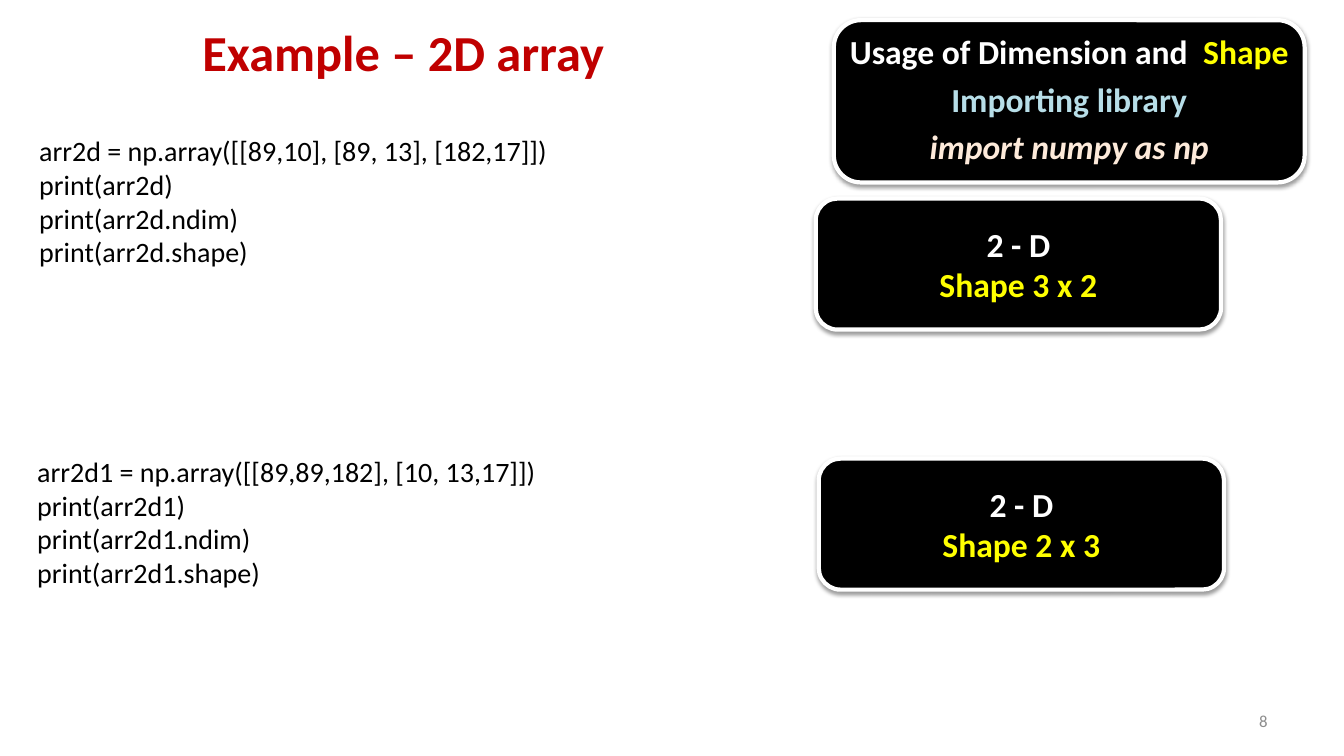
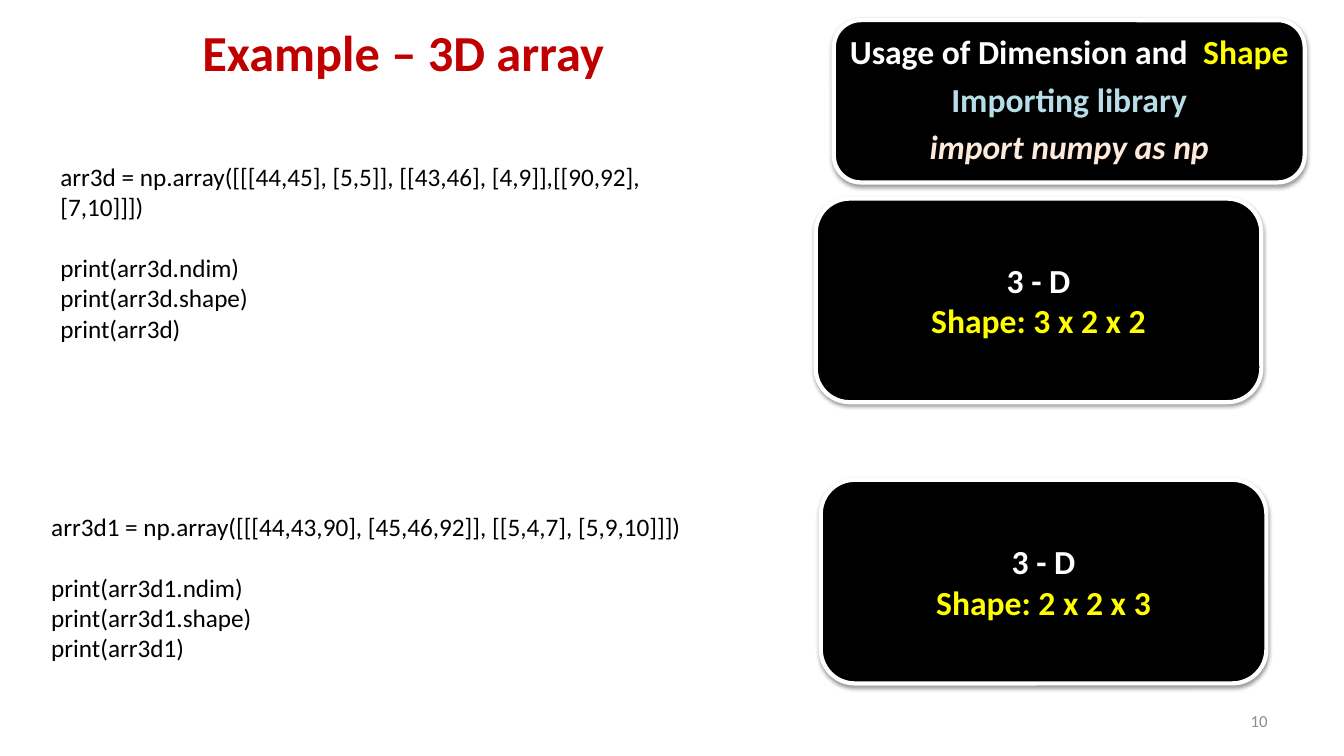
from dataclasses import dataclass

from lxml import etree
from pptx import Presentation
from pptx.dml.color import RGBColor
from pptx.enum import shapes, text
from pptx.oxml import ns
from pptx.util import Inches, Pt


@dataclass(frozen=True)
class Theme:
    font: str = "Calibri"
    title_red: str = "C00000"
    black: str = "000000"
    white: str = "FFFFFF"
    yellow: str = "FFFF00"
    pale_blue: str = "B7DEE8"
    cream: str = "FDEADA"
    gray: str = "8C8C8C"
    title_size: int = 36
    panel_size: int = 24
    number_size: int = 12


@dataclass(frozen=True)
class Box:
    left: float
    top: float
    width: float
    height: float

    def lengths(self):
        return [Inches(v) for v in (self.left, self.top, self.width, self.height)]


@dataclass(frozen=True)
class Span:
    words: str
    color: str
    italic: bool = False


@dataclass(frozen=True)
class Example:
    """A code listing and the panel that gives its dimension and shape."""
    code_box: Box
    code: tuple[str, ...]
    panel_box: Box
    dimension: str
    array_shape: str


@dataclass(frozen=True)
class ExampleSlide:
    title: str
    number: str
    code_size: int
    gap_after_array: int
    examples: tuple[Example, ...]


THEME = Theme()
TITLE_BOX = Box(0.06, 0.1, 7.88, 0.81)
NUMBER_BOX = Box(9.56, 6.95, 3.11, 0.4)
USAGE_BOX = Box(8.27, 0.2, 4.67, 1.61)
USAGE_LINES = (
    (Span("Usage of Dimension and ", THEME.white), Span(" Shape", THEME.yellow)),
    (Span("Importing library", THEME.pale_blue),),
    (Span("import numpy as np", THEME.cream, italic=True),),
)

SLIDES = (
    ExampleSlide("Example – 2D array", "8", 20, 0, (
        Example(
            Box(0.29, 1.28, 5.82, 1.45),
            ("arr2d = np.array([[89,10], [89, 13], [182,17]])",
             "print(arr2d)", "print(arr2d.ndim)", "print(arr2d.shape)"),
            Box(8.09, 1.97, 4.02, 1.3), "2 - D", "Shape 3 x 2"),
        Example(
            Box(0.27, 4.46, 5.61, 1.45),
            ("arr2d1 = np.array([[89,89,182], [10, 13,17]])",
             "print(arr2d1)", "print(arr2d1.ndim)", "print(arr2d1.shape)"),
            Box(8.12, 4.55, 4.02, 1.3), "2 - D", "Shape 2 x 3"),
    )),
    ExampleSlide("Example – 3D array", "10", 18, 22, (
        Example(
            Box(0.5, 1.55, 6.67, 1.92),
            ("arr3d = np.array([[[44,45], [5,5]], [[43,46], [4,9]],[[90,92],[7,10]]])",
             "print(arr3d.ndim)", "print(arr3d.shape)", "print(arr3d)"),
            Box(8.09, 1.97, 4.42, 2.02), "3 - D", "Shape: 3 x 2 x 2"),
        Example(
            Box(0.41, 5.02, 7.06, 1.62),
            ("arr3d1 = np.array([[[44,43,90], [45,46,92]], [[5,4,7], [5,9,10]]])",
             "print(arr3d1.ndim)", "print(arr3d1.shape)", "print(arr3d1)"),
            Box(8.14, 4.76, 4.42, 2.02), "3 - D", "Shape: 2 x 2 x 3"),
    )),
)


def style_font(font, size: int, color: str, bold: bool = False, italic: bool = False) -> None:
    font.name = THEME.font
    font.size = Pt(size)
    font.bold = bold
    font.italic = italic
    font.color.rgb = RGBColor.from_string(color)


def add_soft_shadow(shape) -> None:
    """Replace the theme shadow with a faint one straight below the shape."""
    shape.shadow.inherit = False
    effects = shape.element.spPr.find(ns.qn("a:effectLst"))
    shadow = etree.SubElement(effects, ns.qn("a:outerShdw"), blurRad=str(Pt(3.1)),
                              dist=str(Pt(1.6)), dir="5400000", rotWithShape="0")
    color = etree.SubElement(shadow, ns.qn("a:srgbClr"), val=THEME.black)
    etree.SubElement(color, ns.qn("a:alpha"), val="38000")


def add_title(slide, title: str) -> None:
    shape = slide.shapes.title
    shape.left, shape.top, shape.width, shape.height = TITLE_BOX.lengths()
    frame = shape.text_frame
    frame.text = title
    frame.auto_size = text.MSO_AUTO_SIZE.NONE
    frame.vertical_anchor = text.MSO_ANCHOR.MIDDLE
    paragraph = frame.paragraphs[0]
    paragraph.alignment = text.PP_ALIGN.CENTER
    style_font(paragraph.runs[0].font, THEME.title_size, THEME.title_red, bold=True)


def add_slide_number(slide, number: str) -> None:
    frame = slide.shapes.add_textbox(*NUMBER_BOX.lengths()).text_frame
    frame.word_wrap = True
    frame.vertical_anchor = text.MSO_ANCHOR.MIDDLE
    frame.text = number
    paragraph = frame.paragraphs[0]
    paragraph.alignment = text.PP_ALIGN.RIGHT
    style_font(paragraph.runs[0].font, THEME.number_size, THEME.gray)


def add_panel(slide, box: Box, lines: tuple[tuple[Span, ...], ...],
              line_spacing: float = 1.0, space_after: int = 0) -> None:
    panel = slide.shapes.add_shape(shapes.MSO_SHAPE.ROUNDED_RECTANGLE, *box.lengths())
    panel.fill.solid()
    panel.fill.fore_color.rgb = RGBColor.from_string(THEME.black)
    panel.line.color.rgb = RGBColor.from_string(THEME.white)
    panel.line.width = Pt(3)
    add_soft_shadow(panel)

    frame = panel.text_frame
    frame.word_wrap = True
    frame.vertical_anchor = text.MSO_ANCHOR.MIDDLE
    frame.margin_left = frame.margin_right = Inches(0.05)
    for index, spans in enumerate(lines):
        paragraph = frame.add_paragraph() if index else frame.paragraphs[0]
        paragraph.alignment = text.PP_ALIGN.CENTER
        paragraph.line_spacing = line_spacing
        paragraph.space_after = Pt(space_after)
        for span in spans:
            run = paragraph.add_run()
            run.text = span.words
            style_font(run.font, THEME.panel_size, span.color, bold=True, italic=span.italic)


def add_code(slide, box: Box, code: tuple[str, ...], size: int, gap_after_array: int) -> None:
    frame = slide.shapes.add_textbox(*box.lengths()).text_frame
    frame.word_wrap = True
    frame.auto_size = text.MSO_AUTO_SIZE.SHAPE_TO_FIT_TEXT
    frame.text = "\n".join(code)
    for paragraph in frame.paragraphs:
        style_font(paragraph.runs[0].font, size, THEME.black)
    frame.paragraphs[0].space_after = Pt(gap_after_array)


def add_example_slide(presentation, content: ExampleSlide) -> None:
    title_only = presentation.slide_layouts.get_by_name("Title Only")
    slide = presentation.slides.add_slide(title_only)
    add_title(slide, content.title)
    add_slide_number(slide, content.number)
    add_panel(slide, USAGE_BOX, USAGE_LINES, line_spacing=0.9, space_after=8)
    for example in content.examples:
        add_code(slide, example.code_box, example.code, content.code_size,
                 content.gap_after_array)
        add_panel(slide, example.panel_box, (
            (Span(example.dimension, THEME.white),),
            (Span(example.array_shape, THEME.yellow),),
        ))


def main() -> None:
    presentation = Presentation()
    presentation.slide_width = Inches(13.33)
    presentation.slide_height = Inches(7.5)
    for content in SLIDES:
        add_example_slide(presentation, content)
    presentation.save("out.pptx")


if __name__ == "__main__":
    main()
